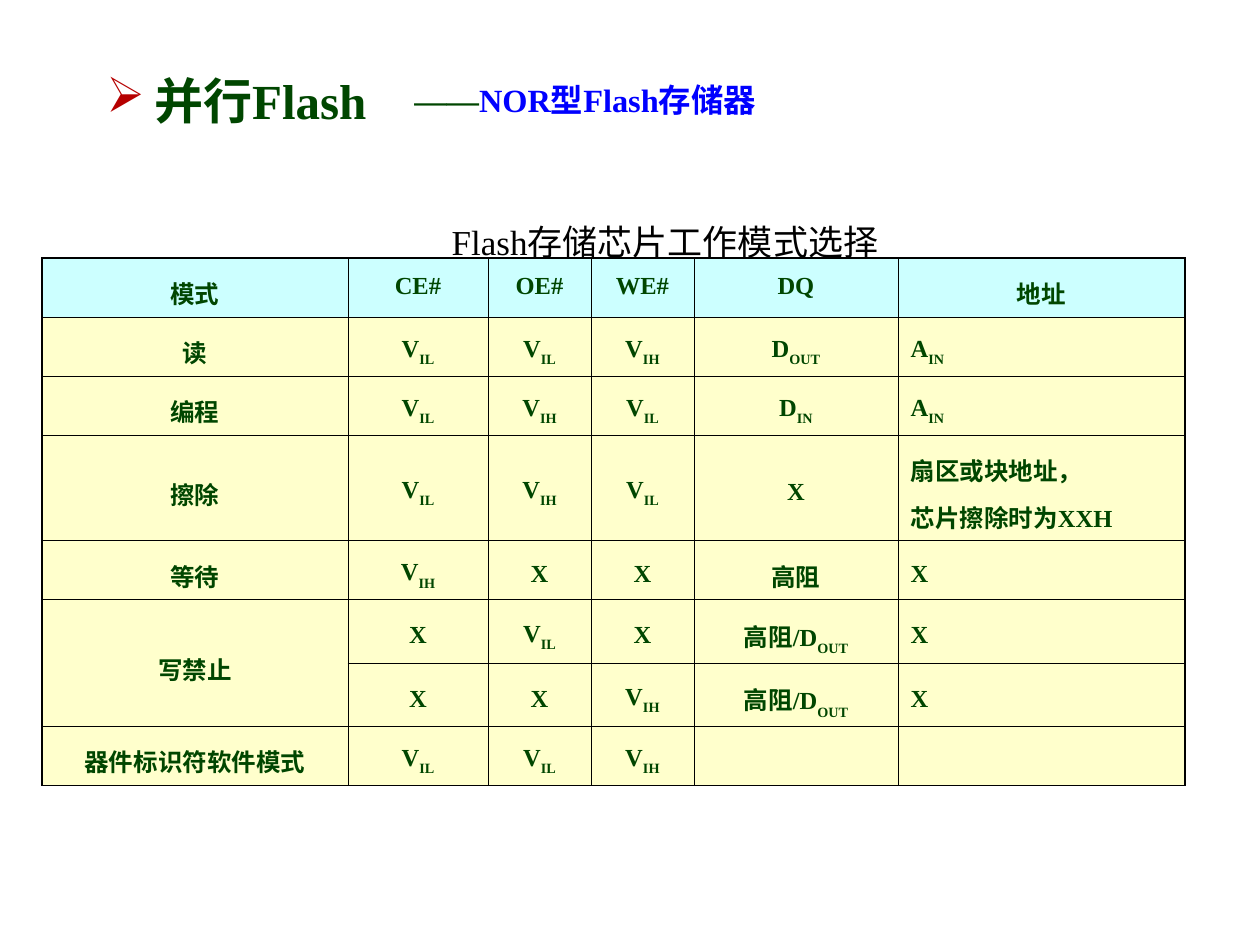
from lxml import etree
from pptx import Presentation
from pptx.dml.color import RGBColor
from pptx.enum.text import MSO_ANCHOR, MSO_AUTO_SIZE, PP_ALIGN
from pptx.oxml.ns import qn
from pptx.util import Emu, Pt

LEFT, CENTER = PP_ALIGN.LEFT, PP_ALIGN.CENTER
TOP, MIDDLE = MSO_ANCHOR.TOP, MSO_ANCHOR.MIDDLE
GROW = MSO_AUTO_SIZE.SHAPE_TO_FIT_TEXT

COLORS = {"green": "004600", "blue": "0000FF", "black": "000000",
          "red": "B60000", "head": "CCFFFF", "body": "FFFFCC"}
FONT = "Times New Roman"
THIN, THICK = 0.45, 1.08

COLS = [306, 140, 103, 103, 204, 287]
HEIGHTS = [52, 58, 58, 89, 58, 58, 58, 58]
# An underscore starts a subscript; a line break starts a paragraph.
MODES = [
    ["模式", "CE#", "OE#", "WE#", "DQ", "地址"],
    ["读", "V_IL", "V_IL", "V_IH", "D_OUT", "A_IN"],
    ["编程", "V_IL", "V_IH", "V_IL", "D_IN", "A_IN"],
    ["擦除", "V_IL", "V_IH", "V_IL", "X", "扇区或块地址，\n芯片擦除时为XXH"],
    ["等待", "V_IH", "X", "X", "高阻", "X"],
    ["写禁止", "X", "V_IL", "X", "高阻/D_OUT", "X"],
    ["", "X", "X", "V_IH", "高阻/D_OUT", "X"],
    ["器件标识符软件模式", "V_IL", "V_IL", "V_IH", "", ""],
]


def px(n):
    return Emu(round(n * 914400 / 126))


def rgb(name):
    return RGBColor.from_string(COLORS[name])


class Deck:
    def __init__(self, wide, high):
        self.prs = Presentation()
        self.prs.slide_width, self.prs.slide_height = px(wide), px(high)
        self.slide = self.prs.slides.add_slide(self.prs.slide_layouts[6])

    def run(self, para, text, size, color, bold=True, sub=False):
        run = para.add_run()
        run.text = text
        font = run.font
        font.name, font.size, font.bold = FONT, Pt(size), bold
        font.color.rgb = rgb(color)
        if sub:
            font._element.set("baseline", "-30000")

    def box(self, x, y, w, h):
        """Add a wrapping text box and return its frame."""
        frame = self.slide.shapes.add_textbox(px(x), px(y), px(w), px(h)).text_frame
        frame.word_wrap = True
        return frame

    def title(self, x, y, w, h, runs, size, before, bullet=None):
        para = self.box(x, y, w, h).paragraphs[0]
        para.line_spacing, para.space_before = 1.2, Pt(before)
        props = para._p.get_or_add_pPr()
        props.set("marL", str(px(48)))
        props.set("indent", str(px(-48)))
        if bullet:
            tint = etree.SubElement(props, qn("a:buClr"))
            etree.SubElement(tint, qn("a:srgbClr"), val=COLORS["red"])
            etree.SubElement(props, qn("a:buChar"), char=bullet)
        for text, color in runs:
            self.run(para, text, size, color)

    def label(self, x, y, w, h, text, size):
        frame = self.box(x, y, w, h)
        frame.auto_size = GROW
        para = frame.paragraphs[0]
        para.alignment = CENTER
        self.run(para, text, size, "black", bold=False)

    def edges(self, cell, widths):
        """Draw the left, right, top and bottom borders, in points."""
        props = cell._tc.get_or_add_tcPr()
        for i, (side, width) in enumerate(zip("LRTB", widths)):
            line = etree.Element(qn("a:ln" + side), w=str(Pt(width)))
            fill = etree.SubElement(line, qn("a:solidFill"))
            etree.SubElement(fill, qn("a:srgbClr"), val=COLORS["black"])
            props.insert(i, line)

    def cell(self, cell, text, fill, align, anchor):
        cell.fill.solid()
        cell.fill.fore_color.rgb = rgb(fill)
        cell.vertical_anchor = anchor
        if not text:
            return
        frame = cell.text_frame
        for i, line in enumerate(text.split("\n")):
            para = frame.add_paragraph() if i else frame.paragraphs[0]
            para.alignment, para.line_spacing = align, 1.3
            for j, part in enumerate(line.split("_")):
                self.run(para, part, 14, "green", sub=j > 0)

    def table(self, x, y, cols, heights, rows):
        table = self.slide.shapes.add_table(
            len(rows), len(cols), px(x), px(y), px(sum(cols)), px(sum(heights))).table
        table.first_row = table.horz_banding = False
        for col, wide in zip(table.columns, cols):
            col.width = px(wide)
        end, last = len(rows) - 1, len(cols) - 1
        for r, row in enumerate(rows):
            table.rows[r].height = px(heights[r])
            for c, text in enumerate(row):
                cell = table.cell(r, c)
                self.cell(cell, text, "body" if r else "head",
                          LEFT if r and c == last else CENTER,
                          MIDDLE if r else TOP)
                outer = (c == 0, c == last, r == 0, r == end)
                self.edges(cell, [THICK if rim else THIN for rim in outer])
        return table


def main():
    deck = Deck(1260, 945)
    table = deck.table(42, 258, COLS, HEIGHTS, MODES)
    table.cell(5, 0).merge(table.cell(6, 0))
    deck.title(94, 53, 377, 84, [("并行Flash", "green")], 28, 7, "➢")
    deck.title(402, 66, 745, 59,
               [("——", "green"), ("NOR型Flash存储器", "blue")], 18.5, 5)
    deck.label(422, 214, 486, 55, "Flash存储芯片工作模式选择", 20)
    deck.prs.save("out.pptx")


if __name__ == "__main__":
    main()
